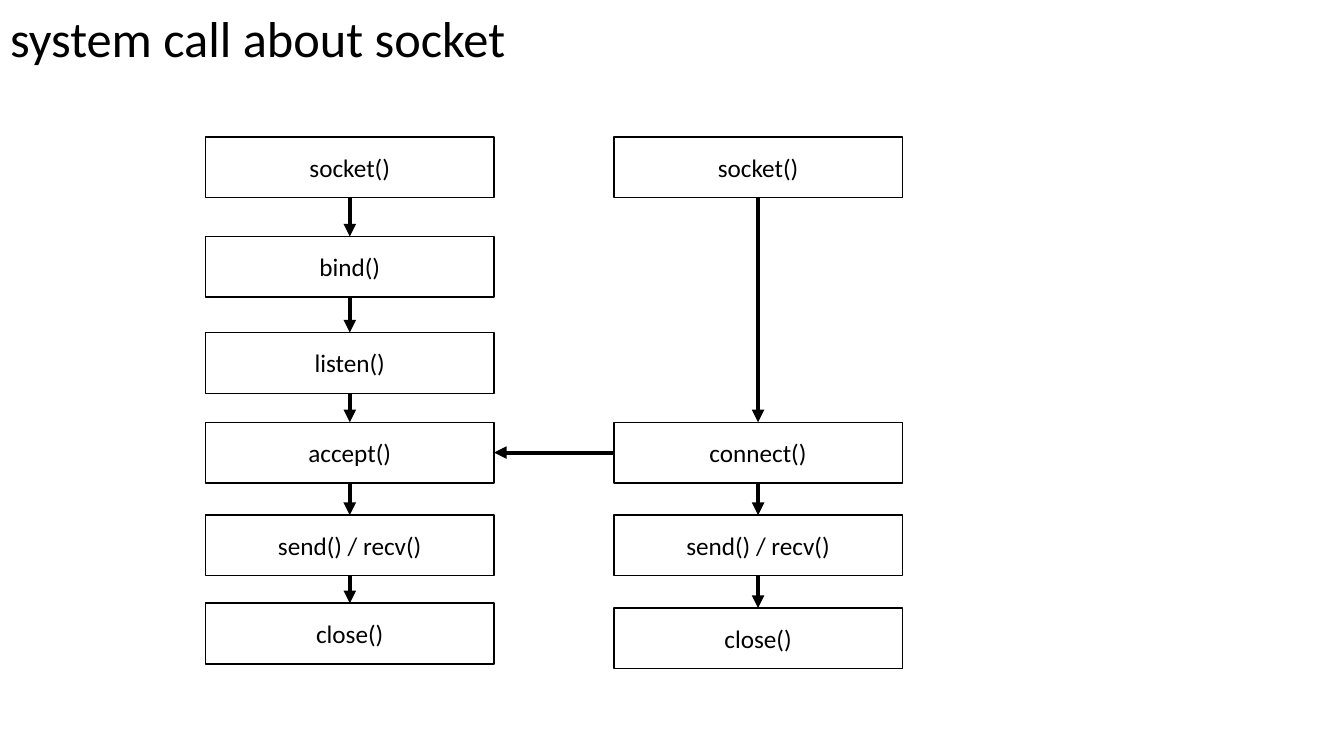
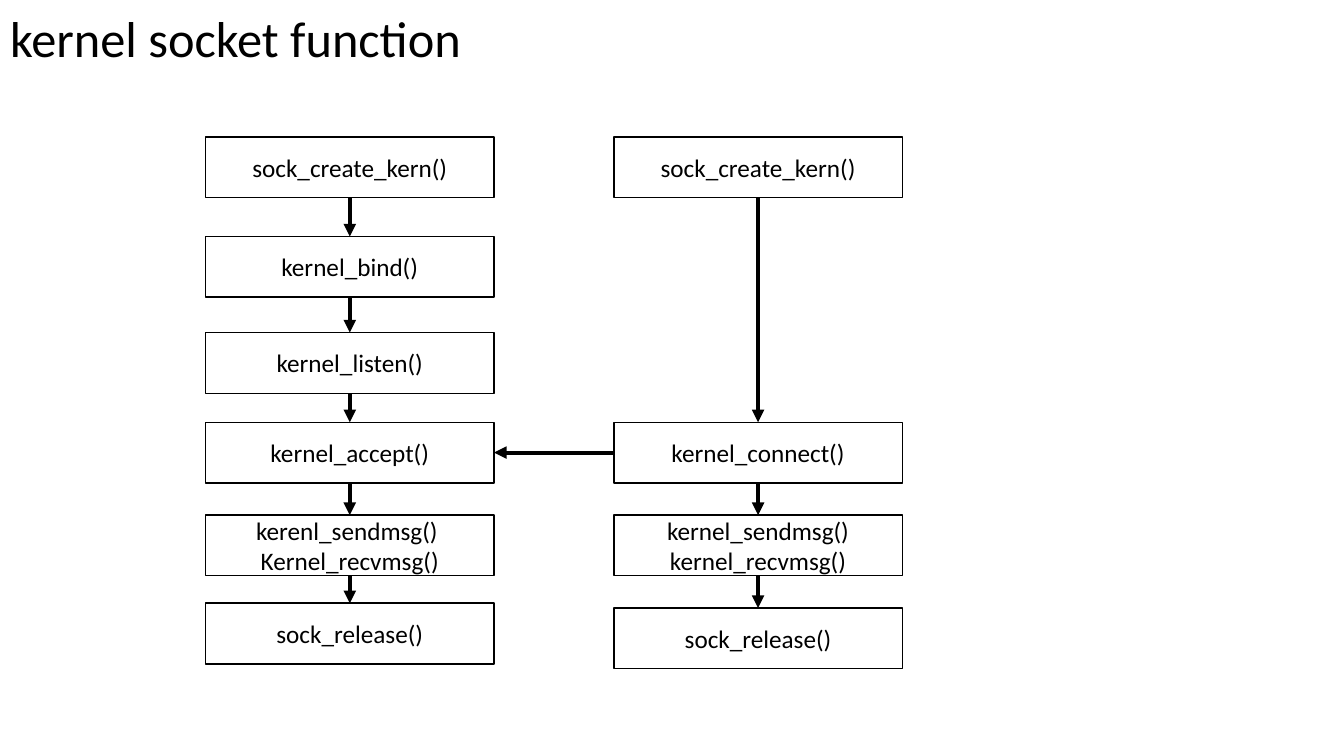
from collections import namedtuple
from dataclasses import dataclass
from itertools import pairwise

from lxml.etree import SubElement
from pptx import Presentation
from pptx.dml.color import RGBColor
from pptx.enum.shapes import MSO_CONNECTOR, MSO_SHAPE
from pptx.enum.text import MSO_ANCHOR, MSO_AUTO_SIZE, PP_ALIGN
from pptx.oxml.ns import qn
from pptx.util import Cm, Pt


@dataclass(frozen=True)
class Theme:
    ink: RGBColor = RGBColor(0, 0, 0)
    paper: RGBColor = RGBColor(255, 255, 255)
    font: str = "Calibri"
    head: Pt = Pt(36)
    body: Pt = Pt(18)
    edge: Pt = Pt(1)
    arrow: Pt = Pt(3)


Box = namedtuple("Box", "x y w h")
Side = namedtuple("Side", "top left base right")
THEME = Theme()
SIDE = Side(0, 1, 2, 3)
FLOW = Box(5.18, 3.45, 17.56, 13.4)
NODE_W, NODE_H = 7.27, 1.53
SERVER = (0, 2.51, 4.93, 7.19, 9.53, 11.75)
CLIENT = (0, 7.19, 9.53, 11.87)

SLIDES = (
    (
        "system call about socket", 13.1,
        ("socket()", "bind()", "listen()", "accept()", "send() / recv()", "close()"),
        ("socket()", "connect()", "send() / recv()", "close()"),
    ),
    (
        "kernel socket function", 12,
        ("sock_create_kern()", "kernel_bind()", "kernel_listen()", "kernel_accept()",
         "kerenl_sendmsg() \nKernel_recvmsg()", "sock_release()"),
        ("sock_create_kern()", "kernel_connect()",
         "kernel_sendmsg()\nkernel_recvmsg()", "sock_release()"),
    ),
)


def place(shape, box):
    shape.left, shape.top, shape.width, shape.height = map(Cm, box)


def write(frame, text, size, align):
    for num, line in enumerate(text.split("\n")):
        para = frame.add_paragraph() if num else frame.paragraphs[0]
        para.alignment = align
        run = para.add_run()
        run.text = line
        run.font.name = THEME.font
        run.font.size = size
        run.font.color.rgb = THEME.ink


def add_title(slide, text, box):
    title = slide.shapes.title
    place(title, box)
    frame = title.text_frame
    frame.word_wrap = False
    frame.auto_size = MSO_AUTO_SIZE.SHAPE_TO_FIT_TEXT
    frame.vertical_anchor = MSO_ANCHOR.TOP
    write(frame, text, THEME.head, PP_ALIGN.LEFT)


def add_node(slide, text, box):
    node = slide.shapes.add_shape(MSO_SHAPE.RECTANGLE, *map(Cm, box))
    node.shadow.inherit = False
    node.fill.solid()
    node.fill.fore_color.rgb = THEME.paper
    node.line.color.rgb = THEME.ink
    node.line.width = THEME.edge
    frame = node.text_frame
    frame.word_wrap = True
    frame.vertical_anchor = MSO_ANCHOR.MIDDLE
    write(frame, text, THEME.body, PP_ALIGN.CENTER)
    return node


def add_arrow(slide, start, out, end, into):
    arrow = slide.shapes.add_connector(MSO_CONNECTOR.STRAIGHT, 0, 0, 0, 0)
    arrow.begin_connect(start, out)
    arrow.end_connect(end, into)
    arrow.line.color.rgb = THEME.ink
    arrow.line.width = THEME.arrow
    props = arrow._element.spPr
    SubElement(props.find(qn("a:ln")), qn("a:tailEnd"), type="triangle")
    SubElement(props, qn("a:effectLst"))


def add_lane(slide, calls, steps, box):
    nodes = [
        add_node(slide, call, Box(box.x, box.y + step, box.w, NODE_H))
        for call, step in zip(calls, steps)
    ]
    for start, end in pairwise(nodes):
        add_arrow(slide, start, SIDE.base, end, SIDE.top)
    return nodes


def add_flow(slide, server, client, box):
    left = box._replace(w=NODE_W)
    right = left._replace(x=box.x + box.w - NODE_W)
    accept = add_lane(slide, server, SERVER, left)[3]
    connect = add_lane(slide, client, CLIENT, right)[1]
    add_arrow(slide, connect, SIDE.left, accept, SIDE.right)


def main():
    deck = Presentation()
    deck.slide_width, deck.slide_height = Cm(33.87), Cm(19.05)
    layout = deck.slide_layouts.get_by_name("Title Only")
    for title, width, server, client in SLIDES:
        slide = deck.slides.add_slide(layout)
        add_title(slide, title, Box(0, 0.05, width, 1.8))
        add_flow(slide, server, client, FLOW)
    deck.save("out.pptx")


if __name__ == "__main__":
    main()
